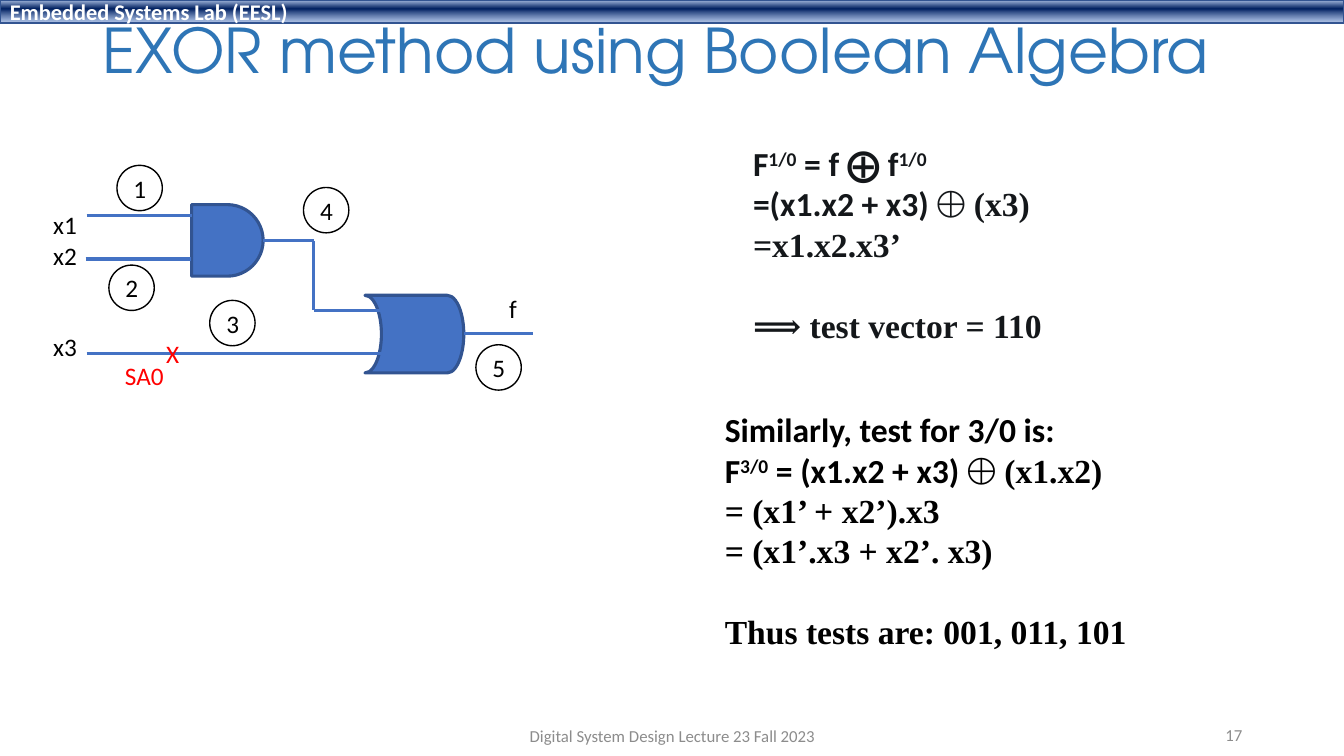
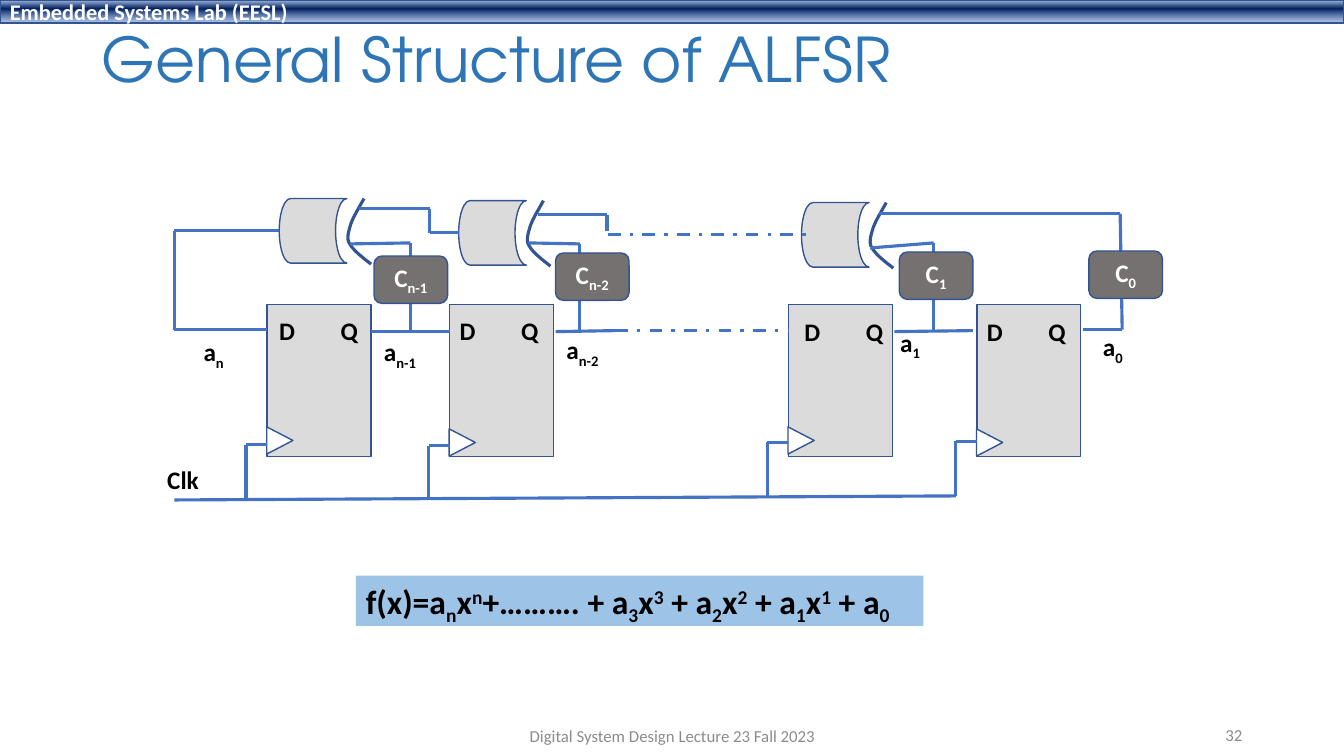
from dataclasses import dataclass
from itertools import pairwise

from lxml.etree import SubElement
from pptx import Presentation
from pptx.dml.color import RGBColor
from pptx.enum.dml import MSO_LINE
from pptx.enum.shapes import MSO_CONNECTOR, MSO_SHAPE
from pptx.enum.text import MSO_ANCHOR, MSO_AUTO_SIZE, PP_ALIGN
from pptx.oxml.ns import qn
from pptx.util import Inches, Pt

Point = tuple[float, float]
Box = tuple[float, float, float, float]


@dataclass(frozen=True)
class Theme:
    sans: str = "Calibri"
    serif: str = "Times New Roman"
    display: str = "TeX Gyre Adventor"
    black: str = "000000"
    white: str = "FFFFFF"
    ink: str = "14171A"
    title: str = "2E75B6"
    muted: str = "8C8C8C"
    fault: str = "FF0000"
    wire: str = "4472C4"
    outline: str = "325491"
    block: str = "DBDBDB"
    tap: str = "767171"
    formula: str = "9DC3E6"
    band: tuple = ((2, "ABC0E4", 100), (38, "002060", 100), (93, "7E9ED6", 64))
    title_size: float = 44
    large: float = 24
    body: float = 18
    band_size: float = 16
    small: float = 12
    thick: float = 2.25
    thin: float = 1


T = Theme()
BASELINES = {"^": "30000", "_": "-25000"}


@dataclass(frozen=True)
class Style:
    size: float = T.body
    color: str = T.black
    bold: bool = False
    font: str = T.sans
    align: PP_ALIGN = PP_ALIGN.LEFT
    anchor: MSO_ANCHOR = MSO_ANCHOR.TOP
    wrap: bool = False
    spacing: float = 1


@dataclass(frozen=True)
class Para:
    text: str
    before: float = 0


@dataclass(frozen=True)
class FlipFlop:
    x: float
    label: Point
    clock_y: float
    bus_y: float
    arrow_y: float


@dataclass(frozen=True)
class Tap:
    at: Point
    index: str
    label_at: Point
    label_w: float


MIDDLE = MSO_ANCHOR.MIDDLE
TITLE = Style(T.title_size, T.title, font=T.display, anchor=MIDDLE, wrap=True, spacing=0.9)
BAND = Style(T.band_size, T.white, True, anchor=MIDDLE, wrap=True)
FOOTER = Style(T.small, T.muted, align=PP_ALIGN.CENTER, anchor=MIDDLE, wrap=True)
NUMBER = Style(T.small, T.muted, align=PP_ALIGN.RIGHT, anchor=MIDDLE, wrap=True)
LABEL = Style()
FAULT = Style(color=T.fault)
BOLD = Style(bold=True)
NODE = Style(align=PP_ALIGN.CENTER, anchor=MIDDLE, wrap=True)
TAP = Style(color=T.white, bold=True, align=PP_ALIGN.CENTER, anchor=MIDDLE, wrap=True)
MATH = Style(T.large, bold=True)
MATH_INK = Style(T.large, T.ink, True)


def rgb(value: str) -> RGBColor:
    return RGBColor.from_string(value)


def write(sp, paras: list[Para], style: Style) -> None:
    tf = sp.text_frame
    tf.word_wrap = style.wrap
    tf.vertical_anchor = style.anchor
    if not style.wrap:
        tf.auto_size = MSO_AUTO_SIZE.SHAPE_TO_FIT_TEXT
    for i, para in enumerate(paras):
        p = tf.add_paragraph() if i else tf.paragraphs[0]
        p.alignment = style.align
        p.line_spacing = style.spacing
        p.space_before = Pt(para.before)
        for part in para.text.split("|"):
            mark = part[:1] if part[:1] in ("^", "_", "~") else ""
            r = p.add_run()
            r.text = part.removeprefix(mark)
            r.font.size = Pt(style.size)
            r.font.bold = style.bold
            r.font.name = T.serif if mark == "~" else style.font
            r.font.color.rgb = rgb(style.color)
            if mark in BASELINES:
                r._r.get_or_add_rPr().set("baseline", BASELINES[mark])


def add_text(s, box: Box, text: str | list[Para], style: Style) -> None:
    sp = s.shapes.add_textbox(*map(Inches, box))
    write(sp, [Para(text)] if isinstance(text, str) else text, style)


def paint(sp, fill: str | None, line: str | None, width: float) -> None:
    sp.shadow.inherit = False
    if fill:
        sp.fill.solid()
        sp.fill.fore_color.rgb = rgb(fill)
    else:
        sp.fill.background()
    if line:
        sp.line.color.rgb = rgb(line)
        sp.line.width = Pt(width)
    else:
        sp.line.fill.background()


def add_block(s, kind: MSO_SHAPE, box: Box, fill: str | None,
              line: str | None = T.outline, width: float = T.thin):
    sp = s.shapes.add_shape(kind, *map(Inches, box))
    paint(sp, fill, line, width)
    return sp


def add_wire(s, *points: Point, dashed: bool = False) -> None:
    for start, end in pairwise(points):
        c = s.shapes.add_connector(MSO_CONNECTOR.STRAIGHT, *map(Inches, start + end))
        c.line.color.rgb = rgb(T.wire)
        c.line.width = Pt(T.thick)
        if dashed:
            c.line.dash_style = MSO_LINE.DASH_DOT
        SubElement(c._element.spPr, qn("a:effectLst"))


def add_band(s) -> None:
    sp = add_block(s, MSO_SHAPE.RECTANGLE, (0, 0, 13.33, 0.23), T.wire)
    sp.fill.gradient()
    sp.fill.gradient_angle = 270
    stops = sp._element.spPr.find(qn("a:gradFill")).find(qn("a:gsLst"))
    stops.clear()
    for pos, color, alpha in T.band:
        gs = SubElement(stops, qn("a:gs"), pos=str(pos * 1000))
        clr = SubElement(gs, qn("a:srgbClr"), val=color)
        SubElement(clr, qn("a:alpha"), val=str(alpha * 1000))
    write(sp, [Para("Embedded Systems Lab (EESL)")], BAND)


def add_slide(prs, title: str, box: Box, number: int):
    s = prs.slides.add_slide(prs.slide_layouts[6])
    add_band(s)
    add_text(s, box, title, TITLE)
    add_text(s, (9.42, 7.09, 3, 0.4), str(number), NUMBER)
    add_text(s, (4.42, 7.1, 4.5, 0.4), "Digital System Design Lecture 23 Fall 2023", FOOTER)
    return s


def build_exor(prs) -> None:
    s = add_slide(prs, "EXOR method using Boolean Algebra", (0.92, 0.15, 11.5, 0.77), 17)
    add_block(s, MSO_SHAPE.FLOWCHART_DELAY, (1.9, 2.03, 0.71, 0.71), T.wire, width=T.thick)
    or_gate = add_block(s, MSO_SHAPE.FLOWCHART_STORED_DATA, (3.62, 2.93, 0.98, 0.77),
                        T.wire, width=T.thick)
    or_gate._element.spPr.get_or_add_xfrm().set("flipH", "1")
    add_wire(s, (0.86, 2.14), (1.9, 2.14))
    add_wire(s, (0.85, 2.57), (1.89, 2.57))
    add_wire(s, (0.86, 3.51), (3.81, 3.51))
    add_wire(s, (2.61, 2.39), (3.11, 2.39), (3.11, 3.08), (3.81, 3.08))
    add_wire(s, (4.6, 3.31), (5.29, 3.31))
    add_text(s, (0.43, 2.03, 0.44, 1.62), [Para("x1"), Para("x2"), Para("x3", 44)], LABEL)
    nodes = ((1.16, 1.64), (1.08, 2.63), (2.08, 2.98), (3.01, 1.86), (4.72, 3.42))
    for number, at in enumerate(nodes, 1):
        sp = add_block(s, MSO_SHAPE.OVAL, (*at, 0.45, 0.45), None, T.black)
        write(sp, [Para(str(number))], NODE)
    add_text(s, (1.55, 3.31, 0.33, 0.4), "X", FAULT)
    add_text(s, (1.14, 3.53, 0.59, 0.4), "SA0", FAULT)
    add_text(s, (4.95, 2.86, 0.28, 0.4), "f", LABEL)
    add_text(s, (7.37, 1.37, 3.09, 2.12), [
        Para("F|^1/0| = f ⨁ f|^1/0"),
        Para("=(x1.x2 + x3) |~⨁ (x3)"),
        Para("~=x1.x2.x3’"),
        Para("~⟹ test vector = 110", 29),
    ], MATH_INK)
    add_text(s, (7.09, 4.01, 4.26, 2.52), [
        Para("Similarly, test for 3/0 is:"),
        Para("F|^3/0| = (x1.x2 + x3) |~⨁ (x1.x2)"),
        Para("~= (x1’ + x2’).x3"),
        Para("~= (x1’.x3 + x2’. x3)"),
        Para("~Thus tests are: 001, 011, 101", 29),
    ], MATH)


def add_flip_flop(s, ff: FlipFlop) -> None:
    add_block(s, MSO_SHAPE.RECTANGLE, (ff.x, 3.02, 1.03, 1.51), T.block)
    arrow = add_block(s, MSO_SHAPE.ISOSCELES_TRIANGLE,
                      (ff.x - 0.01, ff.arrow_y, 0.27, 0.26), T.white)
    arrow.rotation = 90
    bus_x = ff.x - 0.21
    add_wire(s, (ff.x, ff.clock_y), (bus_x, ff.clock_y), (bus_x, ff.bus_y))
    x, y = ff.label
    for pin, dx in (("D", 0), ("Q", 0.61)):
        add_text(s, (x + dx, y, 0.37, 0.4), pin, BOLD)


def bezier(a: Point, b: Point, c: Point, d: Point, steps: int = 8) -> list[Point]:
    def at(t: float, k: int) -> float:
        u = 1 - t
        return u**3 * a[k] + 3 * u * u * t * b[k] + 3 * u * t * t * c[k] + t**3 * d[k]

    return [(at(i / steps, 0), at(i / steps, 1)) for i in range(1, steps + 1)]


def add_xor(s, x: float, y: float) -> None:
    add_block(s, MSO_SHAPE.FLOWCHART_STORED_DATA, (x, y, 0.67, 0.64), T.block)
    curve = ((0.84, 0), (0.78, 0.11), (0.74, 0.17), (0.71, 0.25), (0.69, 0.32),
             (0.66, 0.4), (0.7, 0.45), (0.73, 0.51), (0.82, 0.58), (0.91, 0.65))
    points = [(x + dx, y + dy) for dx, dy in curve]
    path = [pt for i in (0, 3, 6) for pt in bezier(*points[i:i + 4])]
    fb = s.shapes.build_freeform(*map(Inches, points[0]))
    fb.add_line_segments([(Inches(px), Inches(py)) for px, py in path], close=False)
    paint(fb.convert_to_shape(), None, T.outline, T.thick)


def build_alfsr(prs) -> None:
    s = add_slide(prs, "General Structure of ALFSR", (0.91, 0.21, 9.89, 0.83), 32)
    for ff in (FlipFlop(2.65, (2.67, 3.08), 4.41, 4.95, 4.24),
               FlipFlop(4.46, (4.46, 3.08), 4.42, 4.96, 4.26),
               FlipFlop(7.82, (7.88, 3.09), 4.39, 4.94, 4.24),
               FlipFlop(9.69, (9.69, 3.09), 4.38, 4.92, 4.26)):
        add_flip_flop(s, ff)
    add_wire(s, (9.48, 4.92), (1.73, 4.96))
    add_text(s, (1.56, 4.56, 0.52, 0.4), "Clk", BOLD)
    for at in ((2.77, 1.97), (4.55, 1.99), (7.95, 2.01)):
        add_xor(s, *at)
    for route in (
        ((3.68, 3.29), (4.46, 3.29)),
        ((5.51, 3.29), (6.1, 3.28)),
        ((8.87, 3.29), (9.65, 3.28)),
        ((5.34, 2.13), (6.02, 2.13), (6.02, 2.29)),
        ((5.75, 3.28), (5.75, 2.42), (5.24, 2.41)),
        ((4.55, 2.31), (4.26, 2.31), (4.26, 2.07), (3.56, 2.07)),
        ((4.07, 3.29), (4.07, 2.41), (3.47, 2.42)),
        ((9.26, 3.27), (9.26, 2.41), (8.63, 2.46)),
        ((10.74, 3.27), (11.13, 3.27), (11.11, 2.12), (8.72, 2.12)),
        ((2.77, 2.29), (1.73, 2.29), (1.73, 3.27), (2.65, 3.27)),
    ):
        add_wire(s, *route)
    add_wire(s, (6.1, 3.28), (7.82, 3.28), dashed=True)
    add_wire(s, (6.03, 2.33), (8, 2.33), dashed=True)
    for tap in (Tap((3.71, 2.54), "n-1", (3.71, 3.29), 0.55),
                Tap((5.51, 2.51), "n-2", (5.52, 3.27), 0.55),
                Tap((8.92, 2.5), "1", (8.83, 3.2), 0.41),
                Tap((10.8, 2.49), "0", (10.84, 3.24), 0.41)):
        sp = add_block(s, MSO_SHAPE.ROUNDED_RECTANGLE, (*tap.at, 0.73, 0.47), T.tap)
        write(sp, [Para(f"C|_{tap.index}")], TAP)
        add_text(s, (*tap.label_at, tap.label_w, 0.4), f"a|_{tap.index}", BOLD)
    add_text(s, (1.92, 3.29, 0.42, 0.4), "a|_n", BOLD)
    sp = add_block(s, MSO_SHAPE.RECTANGLE, (3.53, 5.71, 5.63, 0.5), T.formula, None)
    terms = "".join(f"|_{n}|x|^{n}| + a" for n in (3, 2, 1))
    write(sp, [Para(f"f(x)=a|_n|x|^n|+………. + a{terms}|_0")], MATH)


def main() -> None:
    prs = Presentation()
    prs.slide_width, prs.slide_height = Inches(13.33), Inches(7.5)
    build_exor(prs)
    build_alfsr(prs)
    prs.save("out.pptx")


if __name__ == "__main__":
    main()
